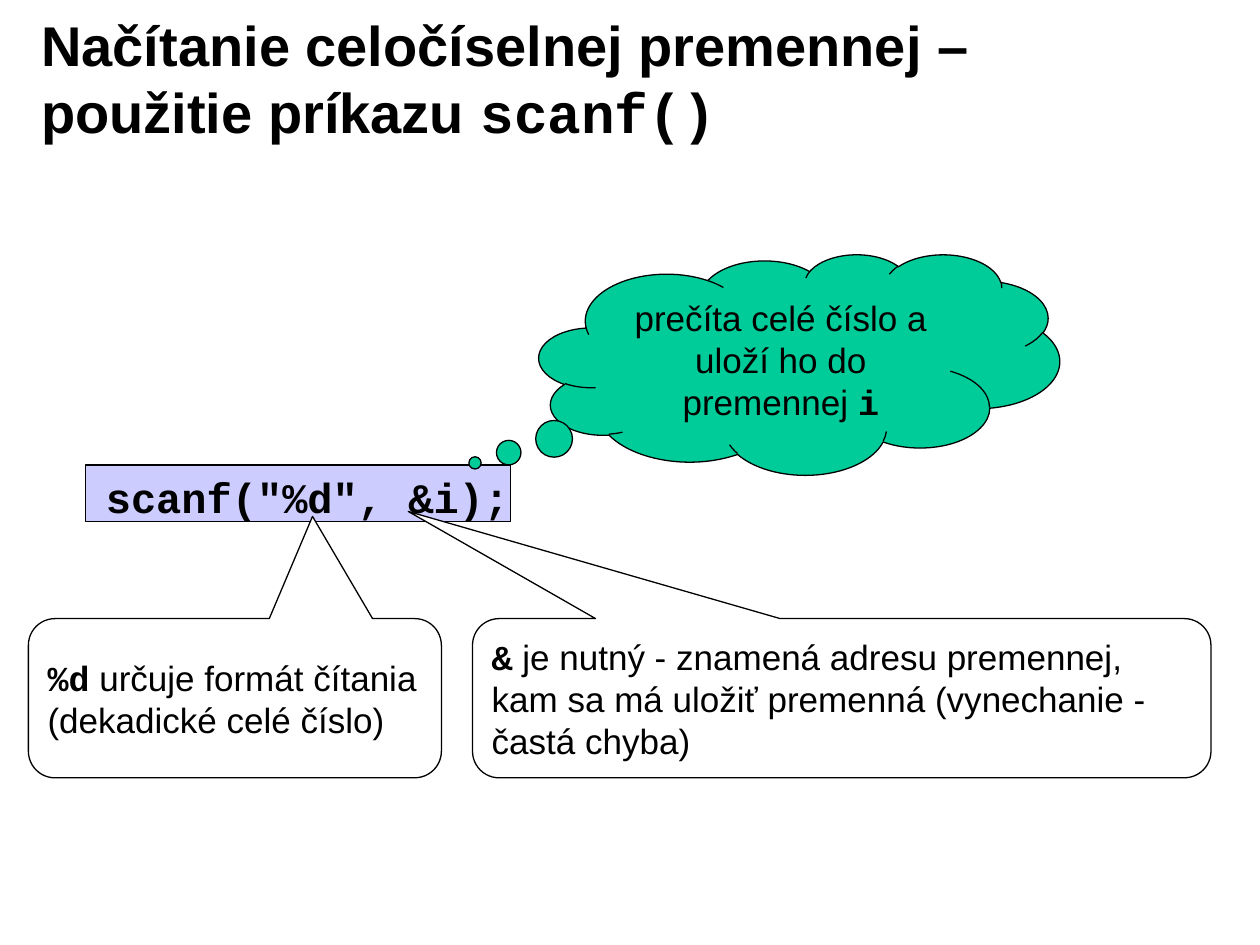
"""Build a slide explaining how scanf() reads an integer variable."""
from pptx import Presentation
from pptx import util as u
from pptx.dml import color
from pptx.enum import shapes, text

SANS, MONO = "Arial", "Courier New"
KIND = shapes.MSO_SHAPE
LEFT, CENTER = text.PP_ALIGN.LEFT, text.PP_ALIGN.CENTER
TOP, MIDDLE = text.MSO_ANCHOR.TOP, text.MSO_ANCHOR.MIDDLE
CODE_TOP = 265.7
rgb = color.RGBColor.from_string


def write(box, spans, size, align=LEFT, anchor=MIDDLE, inset=6.5):
    frame = box.text_frame
    frame.word_wrap = True
    frame.vertical_anchor = anchor
    frame.margin_left = frame.margin_right = u.Pt(inset)
    frame.margin_top = frame.margin_bottom = u.Pt(3.6)
    para = frame.paragraphs[0]
    para.alignment = align
    for words, font, bold in spans:
        span = para.add_run()
        span.text = words
        span.font.name = font
        span.font.size = u.Pt(size)
        span.font.bold = bold
        span.font.color.rgb = rgb("000000")


def draw(kind, left, top, width, height, fill, adjustments=()):
    shape = page.shapes.add_shape(kind, u.Pt(left), u.Pt(top), u.Pt(width), u.Pt(height))
    shape.shadow.inherit = False
    shape.fill.solid()
    shape.fill.fore_color.rgb = rgb(fill)
    shape.line.color.rgb = rgb("000000")
    shape.line.width = u.Pt(0.75)
    for index, value in enumerate(adjustments):
        shape.adjustments[index] = value
    return shape


deck = Presentation()
deck.slide_width, deck.slide_height = u.Pt(720), u.Pt(540)
page = deck.slides.add_slide(deck.slide_layouts[6])

title = page.shapes.add_textbox(u.Pt(16.5), u.Pt(10.8), u.Pt(578), u.Pt(67))
write(title, [("Načítanie celočíselnej premennej – použitie príkazu ", SANS, True),
              ("scanf()", MONO, True)], 32, inset=7.2)

draw(KIND.RECTANGLE, 48.75, CODE_TOP, 243, 32.4, "CCCCFF")
code = page.shapes.add_textbox(u.Pt(54), u.Pt(CODE_TOP), u.Pt(272), u.Pt(35))
write(code, [('scanf("%d", &i);', MONO, True)], 24, anchor=TOP)

cloud = draw(KIND.CLOUD_CALLOUT, 308, 145.2, 297.5, 126, "00CC99", (-0.623, 0.447))
write(cloud, [("prečíta celé číslo a uloží ho do premennej ", SANS, False),
              ("i", MONO, True)], 20, CENTER)

callouts = [
    (16.25, 236, (0.188, -1.142, 0.167), "%d",
     " určuje formát čítania (dekadické celé číslo)"),
    (270, 422, (-0.587, -1.173, 0.167), "&",
     " je nutný - znamená adresu premennej, kam sa má uložiť premenná "
     "(vynechanie - častá chyba)"),
]
for left, width, pointer, symbol, meaning in callouts:
    callout = draw(KIND.ROUNDED_RECTANGULAR_CALLOUT, left, 353.5, width, 91,
                   "FFFFFF", pointer)
    write(callout, [(symbol, MONO, True), (meaning, SANS, False)], 20)

deck.save("out.pptx")
